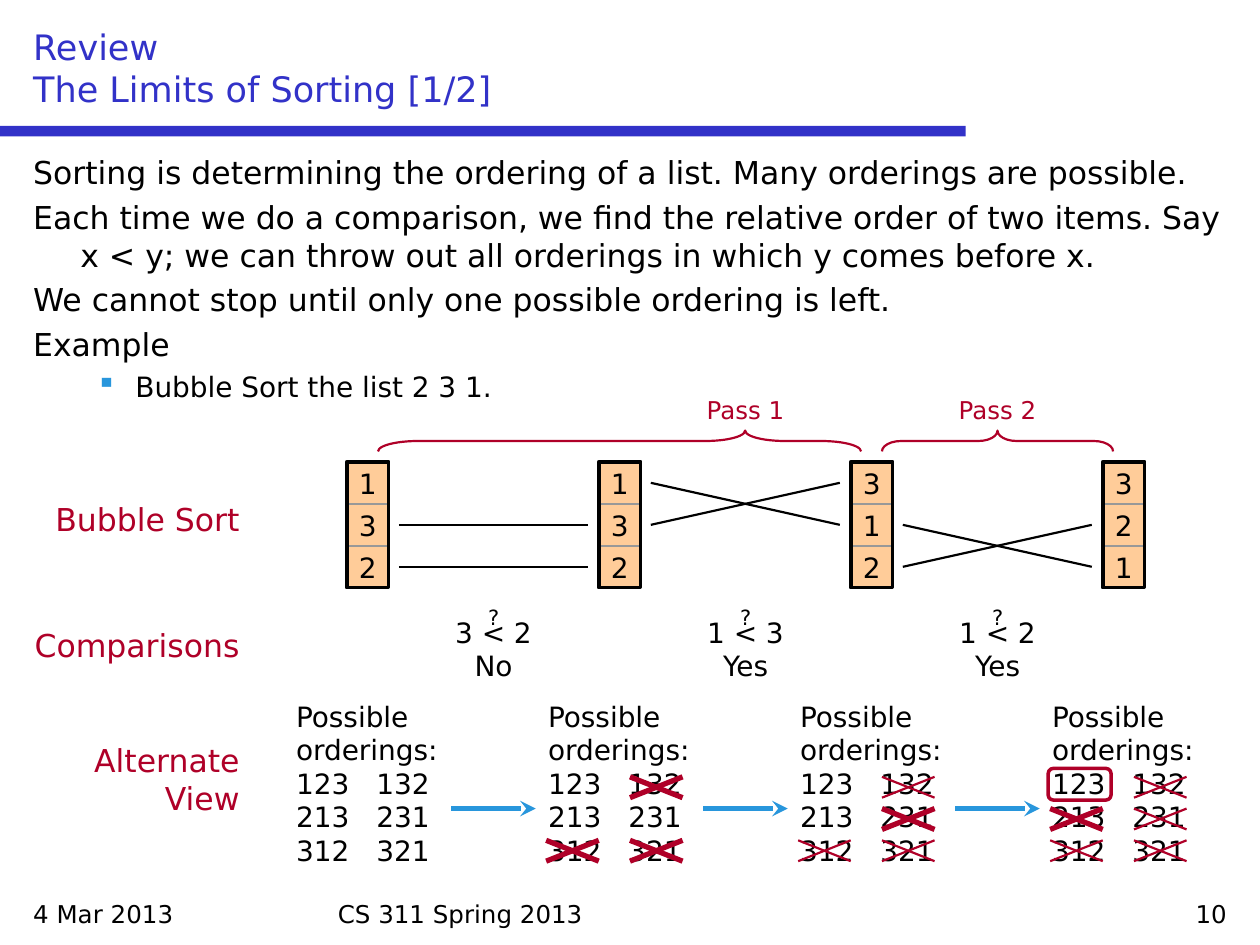
from pptx import Presentation
from pptx.util import Cm, Pt
from pptx.dml.color import RGBColor
from pptx.enum import shapes, text
from pptx.oxml.ns import qn
from lxml import etree

BLUE = RGBColor(0x32, 0x32, 0xC8)
SKY = RGBColor(0x28, 0x96, 0xDC)
RED = RGBColor(0xAF, 0x00, 0x28)
PEACH = RGBColor(0xFF, 0xCC, 0x99)
GRAY = RGBColor(0x98, 0x98, 0x98)
BLACK = RGBColor(0, 0, 0)
FONT = "DejaVu Sans"
KIND = shapes.MSO_SHAPE
LEFT, MID, RIGHT = text.PP_ALIGN.LEFT, text.PP_ALIGN.CENTER, text.PP_ALIGN.RIGHT

# Content
TITLE = "Review\nThe Limits of Sorting [1/2]"
BODY = [
    "Sorting is determining the ordering of a list. Many orderings are possible.",
    "Each time we do a comparison, we find the relative order of two items. "
    "Say x < y; we can throw out all orderings in which y comes before x.",
    "We cannot stop until only one possible ordering is left.",
    "Example",
]
BULLET = "Bubble Sort the list 2 3 1."
ORDERS = "Possible\norderings:\n123\t132\n213\t231\n312\t321"
LISTS = ["132", "132", "312", "321"]              # top to bottom
STEPS = [                                         # question, wires (row to row)
    ("3 < 2\nNo", [(1, 1), (2, 2)]),
    ("1 < 3\nYes", [(0, 1), (1, 0)]),
    ("1 < 2\nYes", [(1, 2), (2, 1)]),
]
STRUCK = [[], [(0, 1), (2, 0), (2, 1)], [(1, 1)], [(1, 0)]]   # (row, column)
LABELS = [("Bubble Sort", 9.95, 1.02), ("Comparisons", 12.49, 1.02),
          ("Alternate View", 14.82, 1.8)]
FOOTER = [("4 Mar 2013", 0.42, 5.93, LEFT), ("CS 311 Spring 2013", 6.56, 12.28, LEFT),
          ("10", 19.05, 5.93, RIGHT)]
PASSES = [("Pass 1", 13.55, 9.53, 9.74, 1.92, 0.76),
          ("Pass 2", 18.63, 22.33, 4.66, 0.92, 0.5)]

# Grid, in cm
GAP = 5.08
CELL = 2.54 / 3
LIST_X, LIST_Y = 6.99, 9.31

deck = Presentation()
deck.slide_width, deck.slide_height = Cm(25.4), Cm(19.05)
slide = deck.slides.add_slide(deck.slide_layouts[6])


def style(para, size, color=BLACK, align=LEFT):
    para.alignment = align
    para.font.size, para.font.name = Pt(size), FONT
    para.font.color.rgb = color


def label(words, x, y, w, h, size, color=BLACK, align=LEFT):
    frame = slide.shapes.add_textbox(Cm(x), Cm(y), Cm(w), Cm(h)).text_frame
    frame.word_wrap = True
    para = frame.paragraphs[0]
    para.text = words
    style(para, size, color, align)
    return frame


def shape(kind, x, y, w, h, fill=None, line=None, width=1.25):
    item = slide.shapes.add_shape(kind, Cm(x), Cm(y), Cm(w), Cm(h))
    item.shadow.inherit = False
    if fill is None:
        item.fill.background()
    else:
        item.fill.solid()
        item.fill.fore_color.rgb = fill
    if line is None:
        item.line.fill.background()
    else:
        item.line.color.rgb, item.line.width = line, Pt(width)
    return item


def line(x1, y1, x2, y2, color=BLACK, width=1.25, head=False):
    item = slide.shapes.add_connector(
        shapes.MSO_CONNECTOR.STRAIGHT, Cm(x1), Cm(y1), Cm(x2), Cm(y2))
    item.line.color.rgb, item.line.width = color, Pt(width)
    if head:
        etree.SubElement(item.line._get_or_add_ln(), qn("a:tailEnd"), type="stealth")
    etree.SubElement(item._element.spPr, qn("a:effectLst"))


def indent(para, left, first):
    props = para._p.get_or_add_pPr()
    props.set("marL", str(Cm(left)))
    props.set("indent", str(Cm(first)))
    return props


# Title, rule and footer
shape(KIND.RECTANGLE, 0, 2.54, 19.47, 0.21, BLUE)
title = label(TITLE, 0.42, 0.42, 24.55, 1.91, 20, BLUE)
title.vertical_anchor = text.MSO_ANCHOR.BOTTOM
for words, x, w, align in FOOTER:
    label(words, x, 17.99, w, 0.85, 14, align=align)

# Body text
body = label(BODY[0], 0.42, 2.96, 24.55, 7.2, 18)
for words in BODY[1:]:
    para = body.add_paragraph()
    para.text, para.space_before = words, Pt(4)
    style(para, 18)
for para in body.paragraphs:
    indent(para, 0.95, -0.95)
para = body.add_paragraph()
para.text, para.space_before = BULLET, Pt(3.7)
props = indent(para, 2.06, -0.79)
tint = etree.SubElement(props, qn("a:buClr"))
etree.SubElement(tint, qn("a:srgbClr"), val=str(SKY))
etree.SubElement(props, qn("a:buChar"), char="▪")
style(para, 16)

# Row labels
for words, y, h in LABELS:
    label(words, 0.21, y, 4.87, h, 18, RED, RIGHT)

# Possible orderings, with struck ones bold when new
for stage in range(len(LISTS)):
    x = 5.72 + stage * GAP
    frame = label(ORDERS, x, 13.97, 3.6, 3.68, 16)
    props = frame.paragraphs[0]._p.get_or_add_pPr()
    tabs = etree.Element(qn("a:tabLst"))
    etree.SubElement(tabs, qn("a:tab"), pos=str(Cm(1.62)), algn="l")
    props.insert(0, tabs)
    for past in range(stage + 1):
        width = 3 if past == stage else 1.25
        for row, col in STRUCK[past]:
            left, top = x + 0.21 + col * 1.69, 15.66 + row * 0.64
            right, low = left + 1.06, top + 0.42
            line(left, low, right, top, RED, width)
            line(left, top, right, low, RED, width)
last = shape(KIND.ROUNDED_RECTANGLE, 21.13, 15.49, 1.27, 0.64, line=RED, width=2)
last.adjustments[0] = 0.17

# Lists of cells
for stage, items in enumerate(LISTS):
    x = LIST_X + stage * GAP
    for row, item in enumerate(items):
        cell = shape(KIND.RECTANGLE, x, LIST_Y + row * CELL, CELL, CELL, PEACH, GRAY)
        frame = cell.text_frame
        frame.word_wrap = False
        frame.vertical_anchor = text.MSO_ANCHOR.MIDDLE
        frame.paragraphs[0].text = item
        style(frame.paragraphs[0], 16, align=MID)
    shape(KIND.RECTANGLE, x, LIST_Y, CELL, 3 * CELL, line=BLACK, width=2)

# Steps: wires, questions and arrows
for step, (words, wires) in enumerate(STEPS):
    shift = step * GAP
    for start, end in wires:
        y1, y2 = (LIST_Y + (row + 0.5) * CELL for row in (start, end))
        line(8.04 + shift, y1, 11.85 + shift, y2)
    label(words, 8.68 + shift, 12.28, 2.54, 1.63, 16, align=MID)
    label("?", 9.53 + shift, 12.07, 0.85, 0.76, 12, align=MID)
    line(9.1 + shift, 16.3, 10.8 + shift, 16.3, SKY, 3, True)

# Pass braces, turned to point up
for words, x, mid, span, bend, tip in PASSES:
    mid = mid if words == "Pass 2" else 12.49
    brace = shape(KIND.RIGHT_BRACE, mid - 0.21 if words == "Pass 1" else 19.9,
                  8.89 - span / 2, 0.42, span, line=RED)
    brace.rotation = 270
    brace.adjustments[0], brace.adjustments[1] = bend, tip
    label(words, x, 7.83, 2.96, 0.86, 14, RED, MID)

deck.save("out.pptx")
